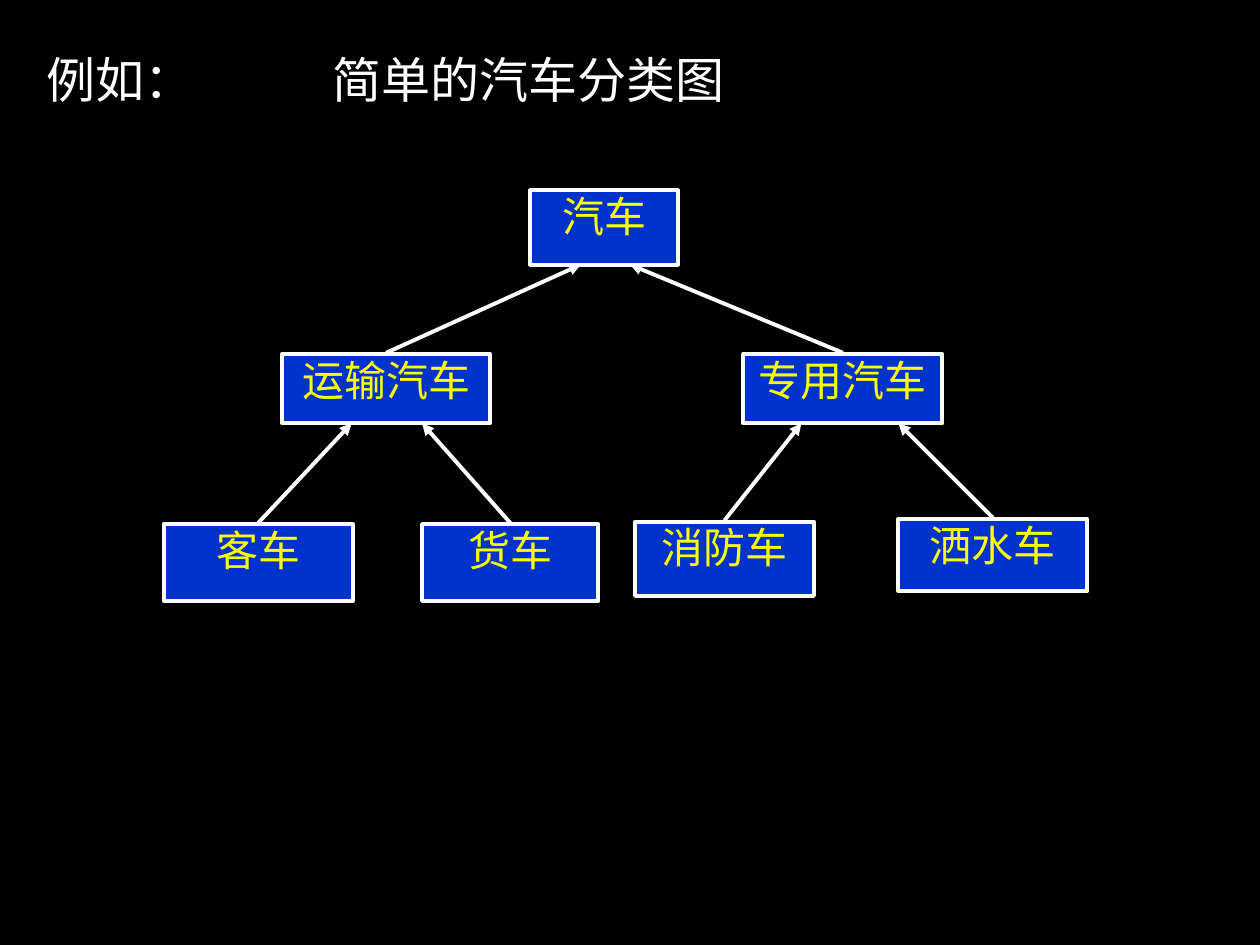
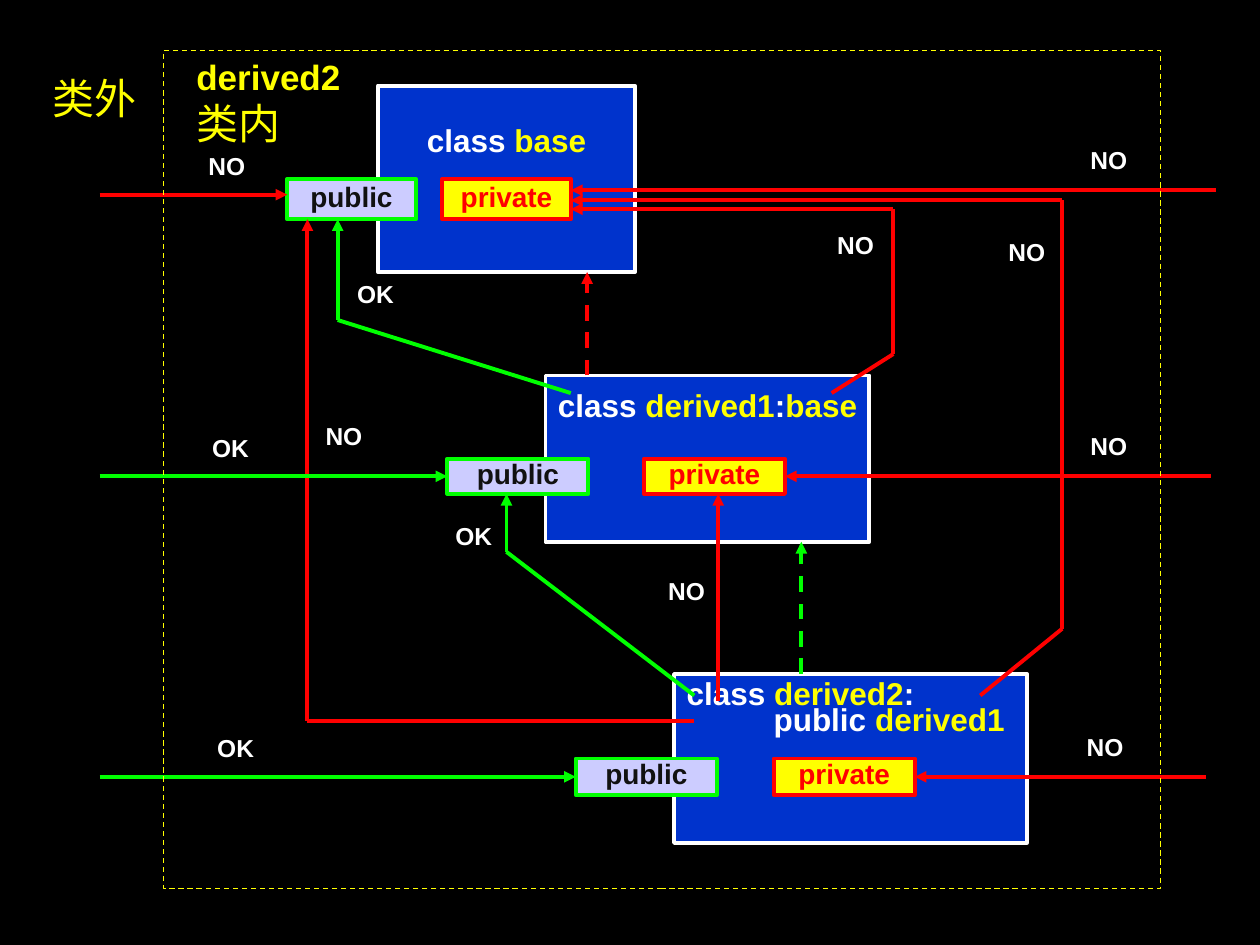
import dataclasses
import itertools

import pptx
import pptx.dml.color
import pptx.enum.dml
import pptx.enum.shapes
import pptx.enum.text
import pptx.oxml
import pptx.oxml.ns
import pptx.util

ALIGN = pptx.enum.text.PP_ALIGN
ANCHOR = pptx.enum.text.MSO_ANCHOR
DASH = pptx.enum.dml.MSO_LINE.DASH
Inches = pptx.util.Inches


@dataclasses.dataclass(frozen=True)
class Theme:
    background: str = "000000"
    white: str = "FFFFFF"
    dark: str = "111111"
    blue: str = "0033CC"
    yellow: str = "FFFF00"
    lilac: str = "CCCCFF"
    allowed: str = "00FF00"
    denied: str = "FF0000"
    sans: str = "Arial"
    serif: str = "Times New Roman"
    chinese: str = "Noto Sans CJK SC"
    title_size: float = 28
    node_size: float = 24
    scope_size: float = 20
    heading_size: float = 18
    member_size: float = 16
    label_size: float = 14
    line_width: float = 2.25
    thin_width: float = 0.75


THEME = Theme()


@dataclasses.dataclass(frozen=True)
class Box:
    left: float
    top: float
    width: float
    height: float

    @property
    def right(self):
        return self.left + self.width

    @property
    def bottom(self):
        return self.top + self.height

    @property
    def center(self):
        return self.left + self.width / 2

    @property
    def middle(self):
        return self.top + self.height / 2

    def inner(self, left, top, width, height):
        return Box(self.left + left, self.top + top, width, height)

    def lengths(self):
        return [Inches(value) for value in dataclasses.astuple(self)]


def rgb(color):
    return pptx.dml.color.RGBColor.from_string(color)


def write_text(shape, paragraphs, *, size, color=THEME.white, font=THEME.sans, bold=False,
               align=ALIGN.CENTER, anchor=ANCHOR.TOP, insets=(0, 0, 0, 0), spacing=None,
               indents=(), tab=None):
    frame = shape.text_frame
    frame.word_wrap = True
    frame.auto_size = pptx.enum.text.MSO_AUTO_SIZE.NONE
    frame.vertical_anchor = anchor
    (frame.margin_left, frame.margin_top,
     frame.margin_right, frame.margin_bottom) = [Inches(value) for value in insets]
    for index, runs in enumerate(paragraphs):
        paragraph = frame.add_paragraph() if index else frame.paragraphs[0]
        paragraph.alignment = align
        if spacing:
            paragraph.line_spacing = spacing
        properties = paragraph._p.get_or_add_pPr()
        if indents:
            properties.set("marL", str(Inches(indents[index])))
        if tab:
            properties.append(pptx.oxml.parse_xml(
                f'<a:tabLst {pptx.oxml.ns.nsdecls("a")}>'
                f'<a:tab pos="{Inches(tab)}" algn="l"/></a:tabLst>'))
        for text, changes in runs:
            style = {"size": size, "color": color, "bold": bold} | changes
            run = paragraph.add_run()
            run.text = text
            run.font.size = pptx.util.Pt(style["size"])
            run.font.bold = style["bold"]
            run.font.color.rgb = rgb(style["color"])
            run.font.name = font
            run._r.get_or_add_rPr().append(pptx.oxml.parse_xml(
                f'<a:ea {pptx.oxml.ns.nsdecls("a")} typeface="{THEME.chinese}"/>'))


def plain(text):
    return [[(text, {})]]


def add_rectangle(slide, box, *, fill=None, line=THEME.white, width=THEME.line_width, dash=None):
    shape = slide.shapes.add_shape(pptx.enum.shapes.MSO_SHAPE.RECTANGLE, *box.lengths())
    shape.shadow.inherit = False
    if fill:
        shape.fill.solid()
        shape.fill.fore_color.rgb = rgb(fill)
    else:
        shape.fill.background()
    shape.line.color.rgb = rgb(line)
    shape.line.width = pptx.util.Pt(width)
    if dash:
        shape.line.dash_style = dash
    return shape


def add_text(slide, box, paragraphs, **style):
    write_text(slide.shapes.add_textbox(*box.lengths()), paragraphs, **style)


def add_label(slide, center, middle, text):
    add_text(slide, Box(center - 0.25, middle - 0.14, 0.5, 0.28), plain(text),
             size=THEME.label_size, bold=True, anchor=ANCHOR.MIDDLE)


def add_arrow(slide, points, *, color=THEME.white, dash=None):
    for start, end in itertools.pairwise(points):
        connector = slide.shapes.add_connector(
            pptx.enum.shapes.MSO_CONNECTOR.STRAIGHT, *[Inches(value) for value in (*start, *end)])
        connector.line.color.rgb = rgb(color)
        connector.line.width = pptx.util.Pt(THEME.line_width)
        if dash:
            connector.line.dash_style = dash
        connector._element.spPr.append(
            pptx.oxml.parse_xml(f'<a:effectLst {pptx.oxml.ns.nsdecls("a")}/>'))
    connector.line._get_or_add_ln().append(
        pptx.oxml.parse_xml(f'<a:tailEnd {pptx.oxml.ns.nsdecls("a")} type="triangle"/>'))


def add_title(slide, box, text):
    title = slide.shapes.title
    title.left, title.top, title.width, title.height = box.lengths()
    write_text(title, plain(text), size=THEME.title_size, align=ALIGN.LEFT,
               anchor=ANCHOR.MIDDLE, insets=(0.1, 0, 0.1, 0), tab=2.27)


def add_vehicle_tree(slide, region):
    nodes = {
        "汽车": ((2.91, 0, 1.17, 0.59), None, 0),
        "运输汽车": ((0.94, 1.3, 1.65, 0.55), "汽车", 0.4),
        "专用汽车": ((4.6, 1.3, 1.58, 0.55), "汽车", 0.79),
        "客车": ((0, 2.65, 1.5, 0.61), "运输汽车", 0.55),
        "货车": ((2.05, 2.65, 1.4, 0.61), "运输汽车", 1.11),
        "消防车": ((3.74, 2.63, 1.42, 0.59), "专用汽车", 0.46),
        "洒水车": ((5.83, 2.61, 1.5, 0.57), "专用汽车", 1.23),
    }
    boxes = {name: region.inner(*place) for name, (place, _, _) in nodes.items()}
    for name, (_, parent, tip) in nodes.items():
        box = boxes[name]
        write_text(add_rectangle(slide, box, fill=THEME.blue), plain(name),
                   size=THEME.node_size, color=THEME.yellow, font=THEME.serif)
        if parent:
            above = boxes[parent]
            add_arrow(slide, [(box.center, box.top - 0.01), (above.left + tip, above.bottom)])


def add_class(slide, box, heading, *, public, private, member, inset_top=0.08, **style):
    write_text(add_rectangle(slide, box, fill=THEME.blue), heading, size=THEME.heading_size,
               bold=True, insets=(0.05, inset_top, 0.05, 0), **style)
    members = []
    for name, offset, fill, line, color in (
            ("private", private, THEME.yellow, THEME.denied, THEME.denied),
            ("public", public, THEME.lilac, THEME.allowed, THEME.dark)):
        place = box.inner(offset, box.height / 2, *member)
        write_text(add_rectangle(slide, place, fill=fill, line=line), plain(name),
                   size=THEME.member_size, color=color, bold=True,
                   anchor=ANCHOR.MIDDLE, insets=(0, 0, 0, 0.05))
        members.append(place)
    return members


def add_outside_access(slide, region, classes):
    rows = zip(classes, (THEME.denied, THEME.allowed, THEME.allowed),
               (1.8, 1.83, 1.87), (8.8, 8.8, 8.77), (9.65, 9.61, 9.57), (-0.07, 0, 0))
    for (private, public), color, left_label, right_label, right_start, shift in rows:
        verdict = "OK" if color == THEME.allowed else "NO"
        level = public.middle + shift / 2
        add_arrow(slide, [(region.left + 0.79, level), (public.left, level)], color=color)
        add_label(slide, region.left + left_label, level - 0.23, verdict)
        level = private.middle + shift
        add_arrow(slide, [(region.left + right_start, level), (private.right, level)],
                  color=THEME.denied)
        add_label(slide, region.left + right_label, level - 0.24, "NO")


def add_derived_access(slide, region, classes):
    (base_private, base_public), (first_private, first_public), _ = classes
    paths = (
        (THEME.allowed, [(4.53, 3.12), (2.68, 2.54), (2.68, base_public.bottom)], (2.98, 2.33)),
        (THEME.allowed, [(5.51, 5.52), (4.02, 4.38), (4.02, first_public.bottom)], (3.76, 4.25)),
        (THEME.denied, [(5.51, 5.72), (2.44, 5.72), (2.44, base_public.bottom)], (2.73, 3.46)),
        (THEME.denied, [(6.6, 3.12), (7.09, 2.81), (7.09, 1.66), (base_private.right, 1.66)],
         (6.79, 1.94)),
        (THEME.denied, [(5.7, 5.56), (5.7, first_private.bottom)], (5.45, 4.69)),
        (THEME.denied, [(7.78, 5.52), (8.43, 4.99), (8.43, 1.59), (base_private.right, 1.59)],
         (8.15, 2)),
    )
    for color, points, label in paths:
        add_arrow(slide, [(region.left + x, region.top + y) for x, y in points], color=color)
        add_label(slide, region.left + label[0], region.top + label[1],
                  "OK" if color == THEME.allowed else "NO")


def add_access_diagram(slide, region):
    yellow = {"color": THEME.yellow}
    base = region.inner(3, 0.68, 2.04, 1.48)
    derived1 = region.inner(4.33, 2.98, 2.57, 1.32)
    derived2 = region.inner(5.35, 5.35, 2.8, 1.34)
    classes = [
        add_class(slide, base, [[("class ", {}), ("base", yellow)]],
                  public=-0.72, private=0.51, member=(1.02, 0.32), inset_top=0.28),
        add_class(slide, derived1,
                  [[("class ", {}), ("derived1", yellow), (":", {}), ("base", yellow)]],
                  public=-0.78, private=0.78, member=(1.12, 0.28)),
        add_class(slide, derived2,
                  [[("class ", {}), ("derived2", yellow), (":", {})],
                   [("public ", {}), ("derived1", yellow)]],
                  public=-0.78, private=0.79, member=(1.12, 0.29),
                  align=ALIGN.LEFT, spacing=0.7, indents=(0.05, 0.74)),
    ]
    for child, parent, offset, color in ((derived1, base, 0.33, THEME.denied),
                                         (derived2, derived1, 1.01, THEME.allowed)):
        x = child.left + offset
        add_arrow(slide, [(x, child.top), (x, parent.bottom)], color=color, dash=DASH)
    add_derived_access(slide, region, classes)
    add_outside_access(slide, region, classes)


def add_scope_frame(slide, box):
    add_rectangle(slide, box, line=THEME.yellow, width=THEME.thin_width, dash=DASH)
    add_text(slide, box.inner(0.16, 0.04, 1.45, 0.71),
             [[("derived2", {"size": THEME.scope_size, "bold": True})], [("类内", {})]],
             size=THEME.node_size, color=THEME.yellow, align=ALIGN.LEFT, insets=(0.1, 0, 0.1, 0))
    add_text(slide, box.inner(-0.95, 0.16, 0.8, 0.43), plain("类外"), size=THEME.node_size,
             color=THEME.yellow, anchor=ANCHOR.MIDDLE)


def main():
    presentation = pptx.Presentation()
    presentation.slide_width = Inches(10)
    presentation.slide_height = Inches(7.5)
    background = presentation.slide_master.background.fill
    background.solid()
    background.fore_color.rgb = rgb(THEME.background)

    tree_slide = presentation.slides.add_slide(presentation.slide_layouts.get_by_name("Title Only"))
    add_title(tree_slide, Box(0.27, 0.3, 9.45, 0.65), "例如：\t简单的汽车分类图")
    add_vehicle_tree(tree_slide, Box(1.3, 1.51, 7.33, 3.26))

    access_slide = presentation.slides.add_slide(presentation.slide_layouts.get_by_name("Blank"))
    add_access_diagram(access_slide, Box(0, 0, 10, 7.5))
    add_scope_frame(access_slide, Box(1.3, 0.4, 7.91, 6.65))

    presentation.save("out.pptx")


if __name__ == "__main__":
    main()
